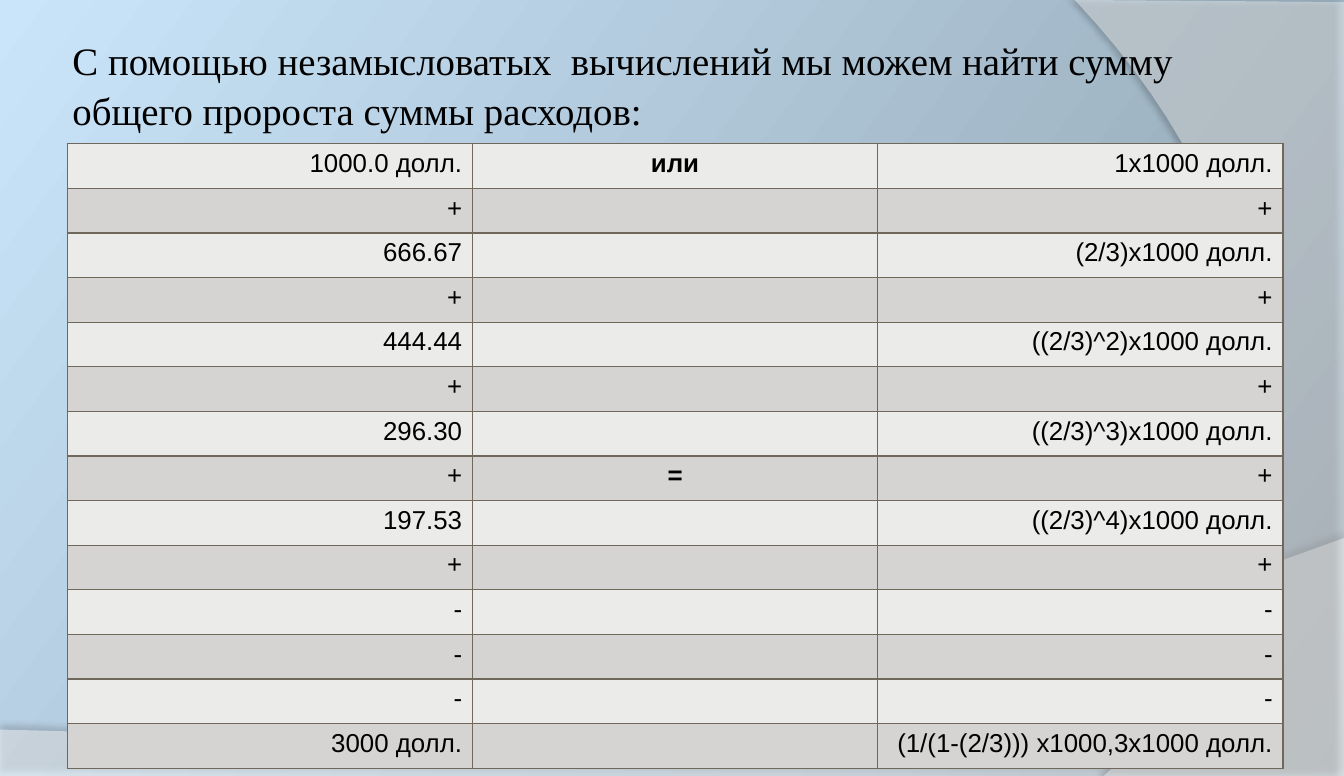
import copy
from dataclasses import dataclass

import lxml.etree
import pptx
import pptx.dml.color
import pptx.enum.text
import pptx.oxml
import pptx.oxml.ns
import pptx.util

Cm = pptx.util.Cm
Pt = pptx.util.Pt
qn = pptx.oxml.ns.qn
Align = pptx.enum.text.PP_ALIGN
Anchor = pptx.enum.text.MSO_ANCHOR


@dataclass(frozen=True)
class Theme:
    """Colours, fonts and sizes of the slide."""
    ink: str = "000000"
    veil: str = "FFFFFF"
    edge: str = "71685C"
    bands: tuple = ("EBEBEA", "D5D4D2")
    sky: tuple = ((0, "8495A2"), (0.3, "9DB2C1"), (1, "CAE5FA"))
    serif: str = "Times New Roman"
    sans: str = "Arial"
    head: int = 27
    body: int = 18


THEME = Theme()
WIDE, HIGH = 33, 19.05
TERMS = [
    ("1000.0 долл.", "1х1000 долл."),
    ("666.67", "(2/3)х1000 долл."),
    ("444.44", "((2/3)^2)x1000 долл."),
    ("296.30", "((2/3)^3)x1000 долл."),
    ("197.53", "((2/3)^4)x1000 долл."),
]
TOTAL = ("3000 долл.", "(1/(1-(2/3))) х1000,3х1000 долл.")
SIGNS = {0: "или", 7: "="}


def color(code):
    """Return the colour of a hex code."""
    return pptx.dml.color.RGBColor.from_string(code)


def node(parent, tag, **attrs):
    """Add a drawing element with the given attributes."""
    item = lxml.etree.SubElement(parent, qn(tag))
    for name, value in attrs.items():
        item.set(name, str(value))
    return item


def paint(slide):
    """Fill the background with the sky gradient."""
    fill = slide.background.fill
    fill.gradient()
    fill.gradient_angle = 143
    stops = next(slide.element.iter(qn("a:gsLst")))
    stops.insert(1, copy.deepcopy(stops[0]))
    for stop, (place, code) in zip(fill.gradient_stops, THEME.sky):
        stop.position = place
        stop.color.rgb = color(code)


def curve(points, steps=40):
    """Return points along a cubic curve, start left out."""
    path = []
    for step in range(1, steps + 1):
        t = step / steps
        parts = ((1 - t) ** 3, 3 * t * (1 - t) ** 2, 3 * t * t * (1 - t), t ** 3)
        path.append(tuple(sum(w * p[axis] for w, p in zip(parts, points))
                          for axis in (0, 1)))
    return path


def wave(slide, points, bend, alpha, shade, angle):
    """Draw a translucent sheet with one curved side and a shadow."""
    start, *rest = [(Cm(x), Cm(y)) for x, y in points + curve([points[-1]] + bend)]
    pen = slide.shapes.build_freeform(*start)
    pen.add_line_segments(rest, close=True)
    shape = pen.convert_to_shape()
    shape.fill.solid()
    shape.fill.fore_color.rgb = color(THEME.veil)
    shape.line.fill.background()
    shape.shadow.inherit = False
    props = shape.element.spPr
    node(next(props.iter(qn("a:srgbClr"))), "a:alpha", val=alpha * 1000)
    drop = node(props.find(qn("a:effectLst")), "a:outerShdw", blurRad=Pt(4),
                dist=Pt(4), dir=angle * 60000, algn="ctr", rotWithShape=0)
    node(node(drop, "a:srgbClr", val=THEME.ink), "a:alpha", val=shade * 1000)


def style(para, face, size, bold=False):
    """Set the font of a paragraph."""
    font = para.font
    font.name, font.size, font.bold = face, Pt(size), bold
    font.color.rgb = color(THEME.ink)


def title(slide, text):
    """Add the heading."""
    box = slide.shapes.add_textbox(Cm(1.65), Cm(0.76), Cm(30.45), Cm(2.57))
    frame = box.text_frame
    frame.word_wrap = True
    frame.vertical_anchor = Anchor.MIDDLE
    frame.margin_left = frame.margin_right = Cm(0.13)
    frame.margin_top = frame.margin_bottom = Cm(0.13)
    para = frame.paragraphs[0]
    para.text = text
    para.line_spacing = 1.07
    style(para, THEME.serif, THEME.head)


def border(cell):
    """Draw thin lines on all sides of a cell."""
    props = cell._tc.get_or_add_tcPr()
    for side in "LRTB":
        line = node(props, f"a:ln{side}", w=Pt(1))
        node(node(line, "a:solidFill"), "a:srgbClr", val=THEME.edge)


def grid(slide, rows):
    """Add the banded table of sums."""
    frame = slide.shapes.add_table(len(rows), 3, Cm(1.65), Cm(3.53),
                                   Cm(29.85), Cm(15.34))
    table = frame.table
    table.first_row = table.horz_banding = False
    for i, row in enumerate(rows):
        for j, text in enumerate(row):
            cell = table.cell(i, j)
            border(cell)
            cell.fill.solid()
            cell.fill.fore_color.rgb = color(THEME.bands[i % 2])
            para = cell.text_frame.paragraphs[0]
            para.text = text
            para.alignment = Align.CENTER if j == 1 else Align.RIGHT
            style(para, THEME.sans, THEME.body, bold=j == 1)


def sums():
    """Return the table rows, signs between the terms."""
    pairs = [pair for term in TERMS for pair in (term, ("+", "+"))]
    pairs += [("-", "-")] * 3 + [TOTAL]
    return [(left, SIGNS.get(i, ""), right)
            for i, (left, right) in enumerate(pairs)]


def main():
    """Build and save the slide."""
    deck = pptx.Presentation()
    deck.slide_width, deck.slide_height = Cm(WIDE), Cm(HIGH)
    slide = deck.slides.add_slide(deck.slide_layouts[6])
    paint(slide)
    wave(slide, [(0, 17.91), (0, HIGH), (WIDE, HIGH), (WIDE, 13.21)],
         [(18.44, 18.52), (12.9, 18.26), (0, 17.91)], 45, 35, 270)
    wave(slide, [(WIDE, 0.05), (WIDE, HIGH), (27.1, HIGH)],
         [(30.84, 15.72), (33.58, 7.62), (26.39, 0)], 40, 45, 180)
    title(slide, "С помощью незамысловатых  вычислений мы можем найти сумму "
                 "общего пророста суммы расходов:")
    grid(slide, sums())
    deck.save("out.pptx")


if __name__ == "__main__":
    main()
